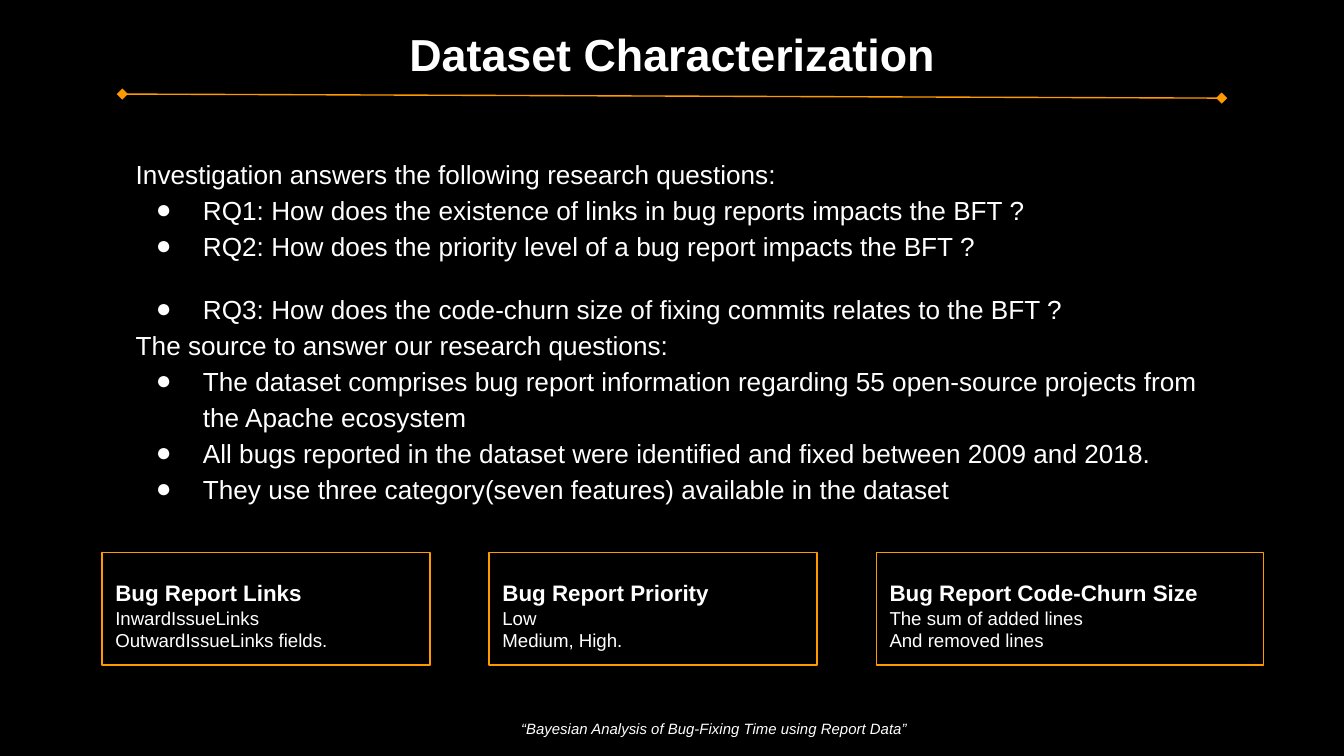
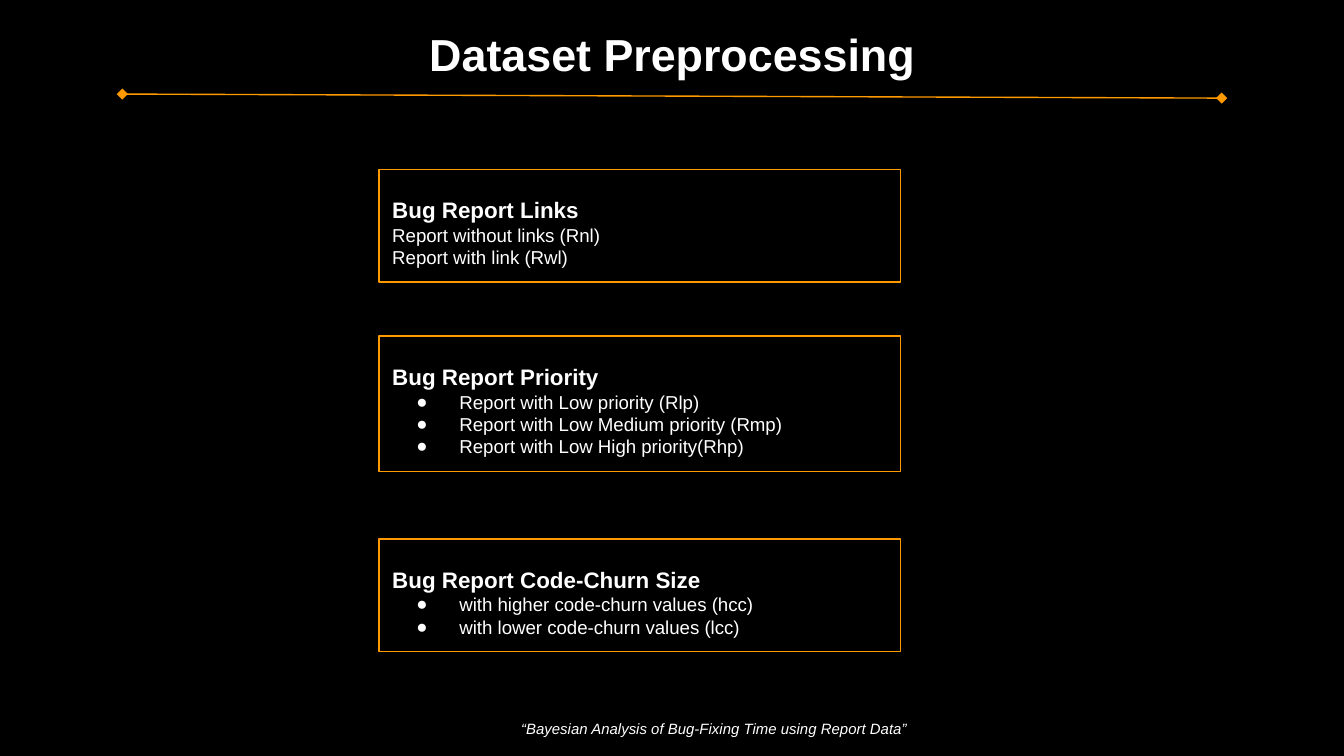
from dataclasses import dataclass

from lxml.etree import SubElement
from pptx import Presentation
from pptx.dml.color import RGBColor
from pptx.enum.shapes import MSO_CONNECTOR, MSO_SHAPE
from pptx.enum.text import MSO_ANCHOR, MSO_AUTO_SIZE, PP_ALIGN
from pptx.oxml.ns import qn
from pptx.util import Inches, Pt


@dataclass(frozen=True)
class Theme:
    font: str = "Arial"
    background: RGBColor = RGBColor(0x00, 0x00, 0x00)
    text: RGBColor = RGBColor(0xFF, 0xFF, 0xFF)
    accent: RGBColor = RGBColor(0xFF, 0x99, 0x00)
    title: int = 24
    body: int = 14
    heading: int = 12
    detail: int = 10
    citation: int = 8
    rule: float = 0.75


THEME = Theme()
SLIDE_WIDTH = Inches(10)
SLIDE_HEIGHT = SLIDE_WIDTH * 9 // 16
TITLE_AND_BODY, TITLE_ONLY = 1, 5
BULLET_LEFT = 0.5
BODY_HANG, CARD_HANG = 0.35, 0.32

CITATION = "“Bayesian Analysis of Bug-Fixing Time using Report Data”"

# text, line spacing, bulleted
QUESTIONS = [
    ("Investigation answers the following research questions:", 1.5, False),
    ("RQ1: How does the existence of links in bug reports impacts the BFT ?", 1.15, True),
    ("RQ2: How does the priority level of a bug report impacts the BFT ?", 1.15, True),
    ("RQ3: How does the code-churn size of fixing commits relates to the BFT ?", 2.0, True),
    ("The source to answer our research questions:", 1.15, False),
    ("The dataset comprises bug report information regarding 55 open-source "
     "projects from the Apache ecosystem", 1.15, True),
    ("All bugs reported in the dataset were identified and fixed between 2009 and 2018.", 1.15, True),
    ("They use three category(seven features) available in the dataset", 1.15, True),
]

# heading, details, width
FEATURES = [
    ("Bug Report Links", ["InwardIssueLinks", "OutwardIssueLinks fields."], 2.44),
    ("Bug Report Priority", ["Low", "Medium, High."], 2.44),
    ("Bug Report Code-Churn Size", ["The sum of added lines", "And removed lines"], 2.88),
]
FEATURES_LEFT, FEATURES_TOP, FEATURES_GAP = 0.76, 4.11, 0.44

# heading, details, bulleted, top
GROUPS = [
    ("Bug Report Links", ["Report without links (Rnl)", "Report with link (Rwl)"], False, 1.26),
    ("Bug Report Priority", ["Report with Low priority (Rlp)",
                             "Report with Low Medium priority (Rmp)",
                             "Report with Low High priority(Rhp)"], True, 2.5),
    ("Bug Report Code-Churn Size", ["with higher code-churn values (hcc)",
                                    "with lower code-churn values (lcc)"], True, 4.01),
]
GROUPS_LEFT, GROUPS_WIDTH = 2.82, 3.88


def place(shape, left, top, width, height):
    shape.left, shape.top = Inches(left), Inches(top)
    shape.width, shape.height = Inches(width), Inches(height)


def prepare_frame(shape, anchor=MSO_ANCHOR.TOP, fit=MSO_AUTO_SIZE.SHAPE_TO_FIT_TEXT):
    frame = shape.text_frame
    frame.word_wrap = True
    frame.auto_size = fit
    frame.vertical_anchor = anchor
    frame.margin_left = frame.margin_right = Inches(0.1)
    frame.margin_top = frame.margin_bottom = Inches(0.1)
    return frame


def set_bullet(paragraph, hang):
    """Hang a round bullet, or switch bullets off when hang is 0."""
    props = paragraph._p.get_or_add_pPr()
    props.set("marL", str(Inches(BULLET_LEFT) if hang else 0))
    props.set("indent", str(-Inches(hang)))
    if hang:
        colour = SubElement(props, qn("a:buClr"))
        SubElement(colour, qn("a:srgbClr"), val=str(THEME.text))
        SubElement(props, qn("a:buFont"), typeface=THEME.font)
        SubElement(props, qn("a:buChar"), char="●")
    else:
        SubElement(props, qn("a:buNone"))


def write(frame, text, size, first=False, spacing=1.0, hang=0,
          align=PP_ALIGN.LEFT, bold=False, italic=False):
    paragraph = frame.paragraphs[0] if first else frame.add_paragraph()
    set_bullet(paragraph, hang)
    paragraph.alignment = align
    paragraph.line_spacing = spacing
    paragraph.space_before = paragraph.space_after = Pt(0)
    run = paragraph.add_run()
    run.text = text
    font = run.font
    font.name, font.size = THEME.font, Pt(size)
    font.bold, font.italic = bold, italic
    font.color.rgb = THEME.text


def add_rule(slide):
    rule = slide.shapes.add_connector(MSO_CONNECTOR.STRAIGHT, Inches(0.91), Inches(0.7),
                                      Inches(9.09), Inches(0.73))
    rule.line.color.rgb = THEME.accent
    rule.line.width = Pt(THEME.rule)
    outline = rule.line._get_or_add_ln()
    for end in ("a:headEnd", "a:tailEnd"):
        SubElement(outline, qn(end), type="diamond", w="med", len="med")
    SubElement(rule._element.spPr, qn("a:effectLst"))


def add_framed_slide(prs, layout, title):
    """Add a slide with the shared title, rule and citation."""
    slide = prs.slides.add_slide(prs.slide_layouts[layout])
    heading = slide.shapes.title
    place(heading, 0.34, 0.1, 9.32, 0.63)
    write(prepare_frame(heading, fit=MSO_AUTO_SIZE.NONE), title, THEME.title,
          first=True, align=PP_ALIGN.CENTER, bold=True)
    add_rule(slide)
    citation = slide.shapes.add_textbox(Inches(2.08), Inches(5.29), Inches(6.47), Inches(0.34))
    write(prepare_frame(citation), CITATION, THEME.citation,
          first=True, align=PP_ALIGN.CENTER, italic=True)
    return slide


def add_card(slide, left, top, width, heading, details, hang=0):
    height = 0.5 + 0.17 * len(details)
    card = slide.shapes.add_shape(MSO_SHAPE.RECTANGLE, Inches(left), Inches(top),
                                  Inches(width), Inches(height))
    card.shadow.inherit = False
    card.fill.background()
    card.line.color.rgb = THEME.accent
    card.line.width = Pt(THEME.rule)
    frame = prepare_frame(card, MSO_ANCHOR.MIDDLE)
    write(frame, heading, THEME.heading, first=True, spacing=1.5, bold=True)
    for detail in details:
        write(frame, detail, THEME.detail, hang=hang)


def build_characterization(prs):
    slide = add_framed_slide(prs, TITLE_AND_BODY, "Dataset Characterization")
    body = slide.placeholders[1]
    place(body, 0.91, 0.96, 8.17, 2.89)
    frame = prepare_frame(body)
    for index, (text, spacing, bulleted) in enumerate(QUESTIONS):
        write(frame, text, THEME.body, first=index == 0, spacing=spacing,
              hang=BODY_HANG if bulleted else 0)
    left = FEATURES_LEFT
    for heading, details, width in FEATURES:
        add_card(slide, left, FEATURES_TOP, width, heading, details)
        left += width + FEATURES_GAP


def build_preprocessing(prs):
    slide = add_framed_slide(prs, TITLE_ONLY, "Dataset Preprocessing")
    for heading, details, bulleted, top in GROUPS:
        add_card(slide, GROUPS_LEFT, top, GROUPS_WIDTH, heading, details,
                 hang=CARD_HANG if bulleted else 0)


def main():
    prs = Presentation()
    prs.slide_width, prs.slide_height = SLIDE_WIDTH, SLIDE_HEIGHT
    backdrop = prs.slide_master.background.fill
    backdrop.solid()
    backdrop.fore_color.rgb = THEME.background
    build_characterization(prs)
    build_preprocessing(prs)
    prs.save("out.pptx")


if __name__ == "__main__":
    main()
